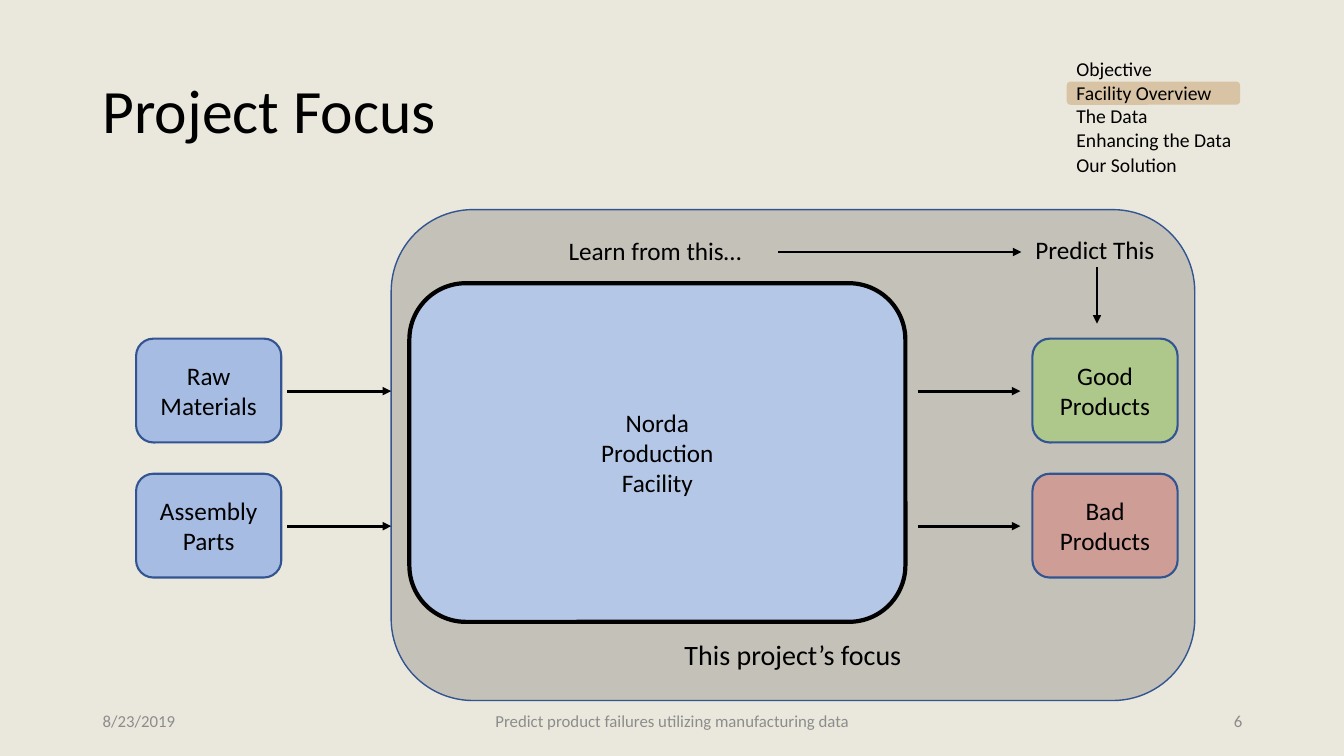
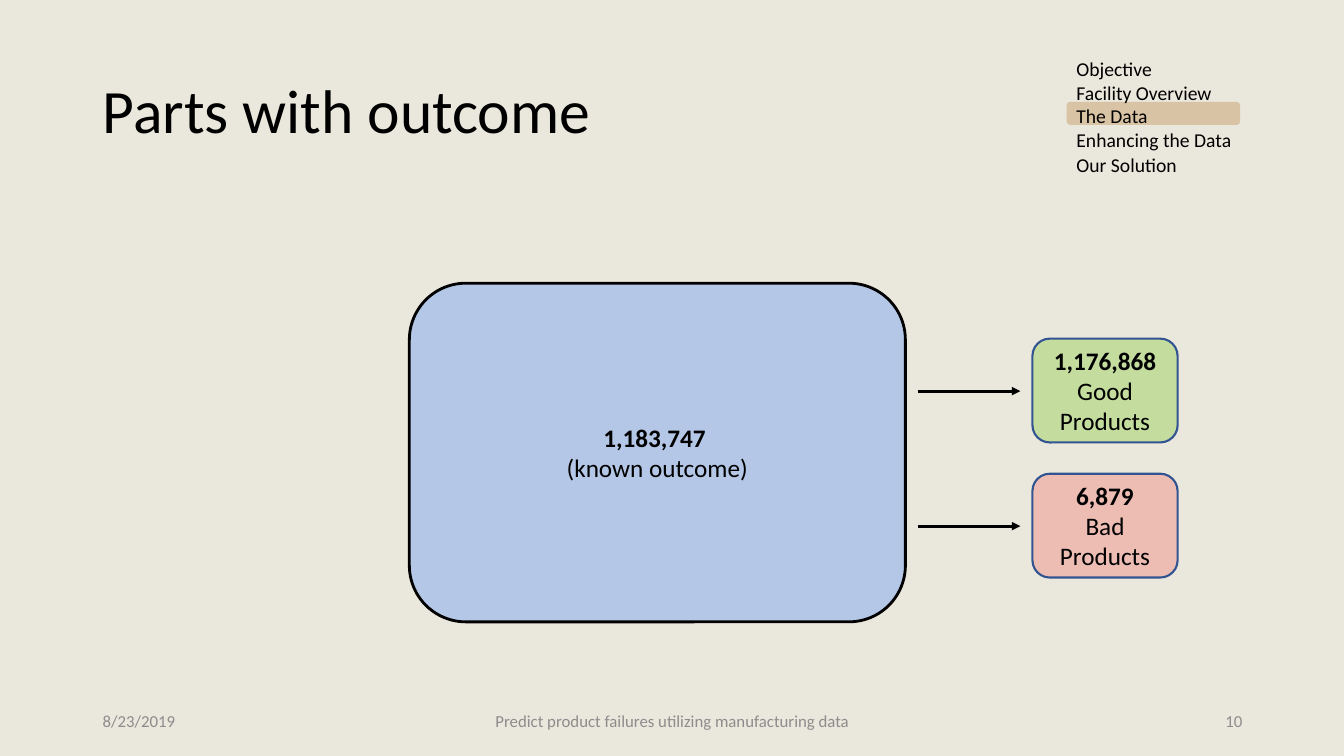
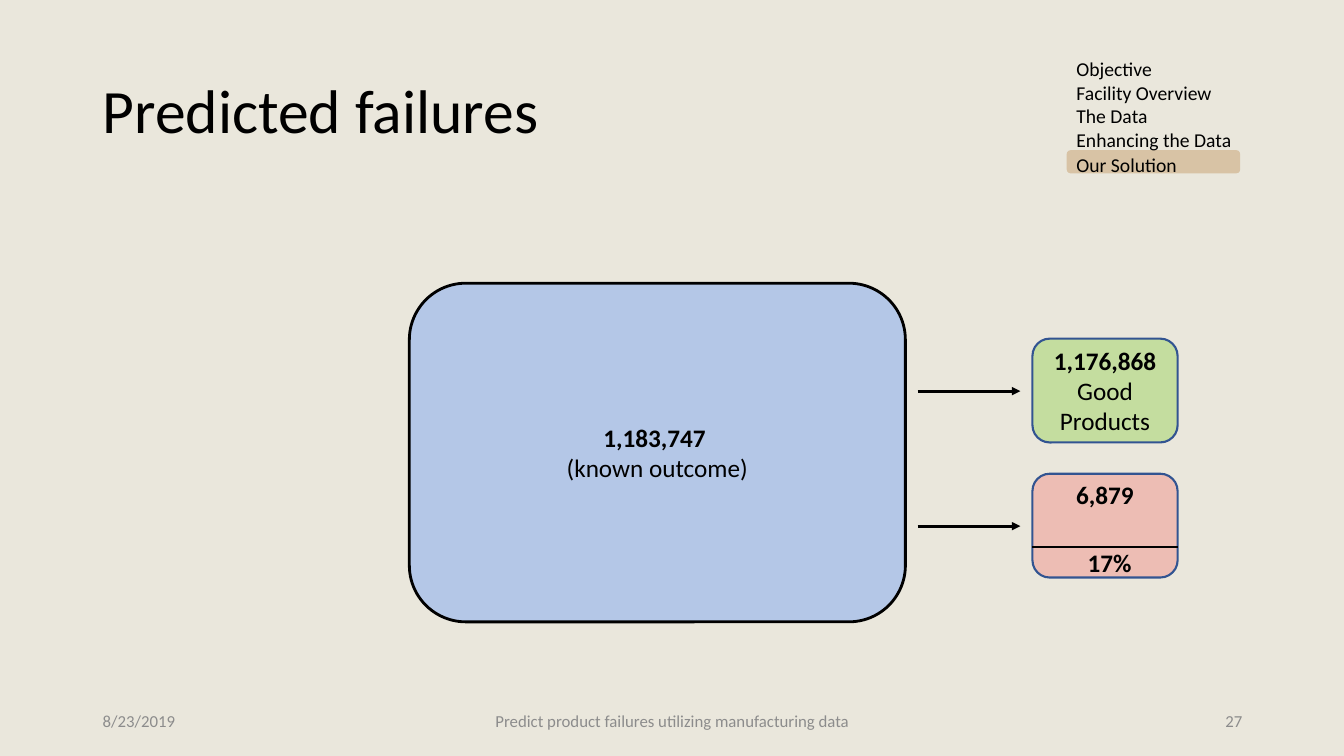
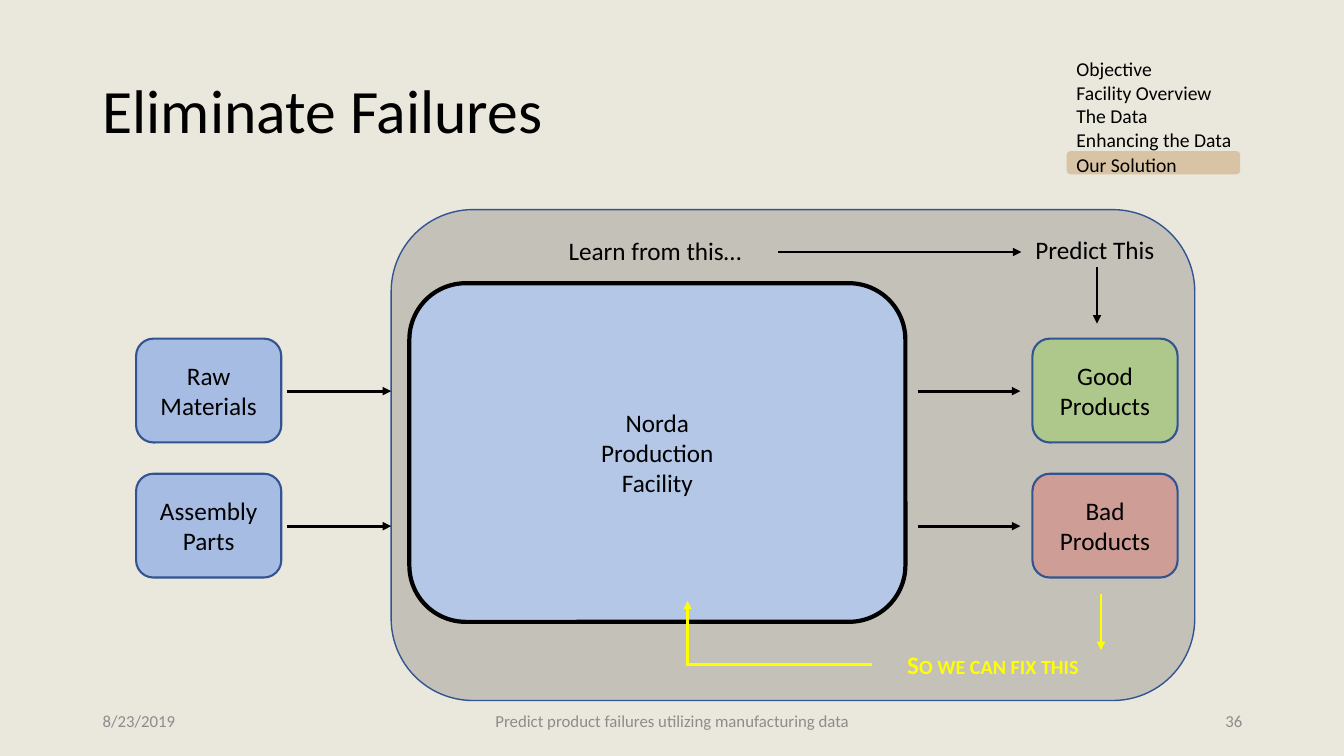
from dataclasses import dataclass
from typing import Optional

from lxml import etree
from pptx import Presentation
from pptx import util as u
from pptx.dml.color import RGBColor
from pptx.enum import shapes, text
from pptx.oxml.ns import qn

PX = 9144  # EMU per px, 100 px to the inch


@dataclass(frozen=True)
class Theme:
    font: str = "Calibri"
    paper: str = "EAE7DC"
    ink: str = "000000"
    muted: str = "8C8C8C"
    outline: str = "325491"
    facility: str = "B4C7E7"
    supply: str = "A7BCE3"
    good: str = "92D050"
    bad: str = "FF0000"
    marker: str = "D8C3A5"
    accent: str = "FFFF00"
    title_pt: int = 44
    focus_pt: int = 20
    body_pt: int = 18
    agenda_pt: int = 14
    footer_pt: int = 12


T = Theme()
ALIGN, ANCHOR = text.PP_ALIGN, text.MSO_ANCHOR


@dataclass(frozen=True)
class Area:
    left: int
    top: int
    width: int
    height: int


@dataclass(frozen=True)
class Style:
    size: int = T.body_pt
    color: str = T.ink
    align: ALIGN = ALIGN.CENTER
    anchor: ANCHOR = ANCHOR.MIDDLE
    bold_lines: int = 0
    small_caps: bool = False


@dataclass(frozen=True)
class Box:
    area: Area
    words: str = ""
    fill: Optional[str] = None
    opacity: int = 100
    line: Optional[str] = T.outline
    weight: float = 1.5
    style: Style = Style()


@dataclass(frozen=True)
class Label:
    area: Area
    words: str
    style: Style
    wrap: bool = True


@dataclass(frozen=True)
class Stroke:
    x1: int
    y1: int
    x2: int
    y2: int
    color: str = T.ink
    weight: float = 2
    arrow: bool = True


@dataclass(frozen=True)
class Page:
    title: str
    number: int
    marker_top: int


# Positions shared by the flow diagrams
ROW_TOPS = (336, 470)
SUPPLY_X, PRODUCT_X = 135, 1024
BOX_W, BOX_H = 144, 103
FOCUS = Area(388, 208, 797, 487)
FACILITY = Area(406, 281, 492, 336)
AGENDA = ("Objective", "Facility Overview", "The Data", "Enhancing the Data", "Our Solution")
INLINE = Style(align=ALIGN.LEFT, anchor=ANCHOR.TOP)
COUNTED = Style(bold_lines=1)


def emu(area: Area) -> tuple[int, ...]:
    return tuple(v * PX for v in (area.left, area.top, area.width, area.height))


def write(frame, words: str, style: Style) -> None:
    frame.text = words
    frame.vertical_anchor = style.anchor
    for index, paragraph in enumerate(frame.paragraphs):
        paragraph.alignment = style.align
        for run in paragraph.runs:
            run.font.name = T.font
            run.font.size = u.Pt(style.size)
            run.font.bold = index < style.bold_lines
            run.font.color.rgb = RGBColor.from_string(style.color)
            if style.small_caps:
                run.font._element.set("cap", "small")


def draw_box(slide, box: Box):
    shape = slide.shapes.add_shape(shapes.MSO_SHAPE.ROUNDED_RECTANGLE, *emu(box.area))
    shape.shadow.inherit = False
    if box.fill:
        shape.fill.solid()
        shape.fill.fore_color.rgb = RGBColor.from_string(box.fill)
        if box.opacity < 100:
            color = shape._element.spPr.find(qn("a:solidFill"))[0]
            etree.SubElement(color, qn("a:alpha")).set("val", str(box.opacity * 1000))
    else:
        shape.fill.background()
    if box.line:
        shape.line.color.rgb = RGBColor.from_string(box.line)
        shape.line.width = u.Pt(box.weight)
    else:
        shape.line.fill.background()
    if box.words:
        write(shape.text_frame, box.words, box.style)
    return shape


def draw_label(slide, label: Label):
    frame = slide.shapes.add_textbox(*emu(label.area)).text_frame
    frame.word_wrap = label.wrap
    if not label.wrap:
        frame.auto_size = text.MSO_AUTO_SIZE.SHAPE_TO_FIT_TEXT
    write(frame, label.words, label.style)
    return frame


def draw_stroke(slide, stroke: Stroke) -> None:
    ends = (v * PX for v in (stroke.x1, stroke.y1, stroke.x2, stroke.y2))
    connector = slide.shapes.add_connector(shapes.MSO_CONNECTOR.STRAIGHT, *ends)
    connector.line.color.rgb = RGBColor.from_string(stroke.color)
    connector.line.width = u.Pt(stroke.weight)
    properties = connector._element.spPr
    if stroke.arrow:
        etree.SubElement(properties.find(qn("a:ln")), qn("a:tailEnd")).set("type", "triangle")
    etree.SubElement(properties, qn("a:effectLst"))


def draw_frame(slide, page: Page) -> None:
    """Title, footer and agenda with its marker."""
    title = draw_label(slide, Label(Area(92, 40, 1150, 145), page.title,
                                    Style(T.title_pt, align=ALIGN.LEFT)))
    title.paragraphs[0].line_spacing = 0.9
    for left, width, words, align in (
        (92, 300, "8/23/2019", ALIGN.LEFT),
        (442, 450, "Predict product failures utilizing manufacturing data", ALIGN.CENTER),
        (942, 300, str(page.number), ALIGN.RIGHT),
    ):
        draw_label(slide, Label(Area(left, 695, width, 40), words,
                                Style(T.footer_pt, T.muted, align)))
    draw_box(slide, Box(Area(1058, page.marker_top, 172, 23), fill=T.marker, line=None))
    agenda = draw_box(slide, Box(Area(1051, 47, 191, 138), "\n".join(AGENDA), line=None,
                                 style=Style(T.agenda_pt, align=ALIGN.LEFT, anchor=ANCHOR.BOTTOM)))
    for entry in agenda.text_frame.paragraphs:
        entry.line_spacing = 0.4
        entry.space_before = u.Pt(10)
    entry.line_spacing = 0.5


def draw_row_arrows(slide, start: int, end: int) -> None:
    for top in ROW_TOPS:
        draw_stroke(slide, Stroke(start, top + 52, end, top + 52))


def draw_products(slide, good: str, bad: str, style: Style = Style()):
    """Outcome boxes with the arrows leading to them; returns the lower box."""
    for top, words, fill, opacity in zip(ROW_TOPS, (good, bad), (T.good, T.bad), (43, 18)):
        product = draw_box(slide, Box(Area(PRODUCT_X, top, BOX_W, BOX_H), words, fill, opacity,
                                      style=style))
    draw_row_arrows(slide, 910, 1012)
    return product


def draw_process(slide, page: Page, focus: str = "") -> None:
    """Materials flowing through the facility inside the focus panel."""
    draw_box(slide, Box(FOCUS, focus, T.ink, 16, weight=1,
                        style=Style(T.focus_pt, anchor=ANCHOR.BOTTOM)))
    draw_frame(slide, page)
    draw_box(slide, Box(FACILITY, "Norda\nProduction\nFacility", T.facility, line=T.ink, weight=3))
    for top, words in zip(ROW_TOPS, ("Raw\nMaterials", "Assembly\nParts")):
        draw_box(slide, Box(Area(SUPPLY_X, top, BOX_W, BOX_H), words, T.supply))
    draw_row_arrows(slide, 285, 388)
    draw_products(slide, "Good\nProducts", "Bad\nProducts")
    draw_label(slide, Label(Area(554, 229, 195, 40), "Learn from this…", INLINE, wrap=False))
    draw_stroke(slide, Stroke(772, 250, 1013, 250))
    draw_label(slide, Label(Area(1017, 228, 139, 40), "Predict This", INLINE, wrap=False))
    draw_stroke(slide, Stroke(1088, 265, 1088, 321))


def draw_outcome(slide, page: Page, bad: str):
    """Known parts split into good and bad; returns the bad box."""
    draw_frame(slide, page)
    draw_box(slide, Box(FACILITY, "1,183,747 \n(known outcome)", T.facility, line=T.ink,
                        weight=2, style=COUNTED))
    return draw_products(slide, "1,176,868\nGood\nProducts", bad, COUNTED)


def draw_failure_share(slide, bad_box) -> None:
    """Predicted share below a divider in the bad box."""
    bad_box.text_frame.vertical_anchor = ANCHOR.TOP
    bad_box.text_frame.margin_top = PX
    draw_stroke(slide, Stroke(PRODUCT_X, 543, PRODUCT_X + BOX_W, 543, weight=1.5, arrow=False))
    share = Style(align=ALIGN.LEFT, anchor=ANCHOR.TOP, bold_lines=1)
    draw_label(slide, Label(Area(1069, 538, 64, 40), "17%", share, wrap=False))


def draw_fix_loop(slide) -> None:
    """Feedback from bad products to the facility."""
    for stroke in (
        Stroke(1092, 589, 1092, 645, T.accent),
        Stroke(865, 659, 682, 659, T.accent, arrow=False),
        Stroke(682, 661, 682, 596, T.accent),
    ):
        draw_stroke(slide, stroke)
    call = Style(color=T.accent, align=ALIGN.LEFT, anchor=ANCHOR.TOP, bold_lines=1,
                 small_caps=True)
    draw_label(slide, Label(Area(890, 639, 197, 40), "So we can fix this", call, wrap=False))


def main() -> None:
    deck = Presentation()
    deck.slide_width, deck.slide_height = 1333 * PX, 750 * PX
    paper = deck.slide_master.background.fill
    paper.solid()
    paper.fore_color.rgb = RGBColor.from_string(T.paper)
    blank = deck.slide_layouts[6]

    # Project focus
    draw_process(deck.slides.add_slide(blank), Page("Project Focus", 6, 81),
                 "This project’s focus")

    # Parts with outcome
    draw_outcome(deck.slides.add_slide(blank), Page("Parts with outcome", 10, 101),
                 "6,879\nBad\nProducts")

    # Predicted failures
    predicted = deck.slides.add_slide(blank)
    bad_box = draw_outcome(predicted, Page("Predicted failures", 27, 149), "6,879")
    draw_failure_share(predicted, bad_box)

    # Eliminate failures
    eliminate = deck.slides.add_slide(blank)
    draw_process(eliminate, Page("Eliminate Failures", 36, 150))
    draw_fix_loop(eliminate)

    deck.save("out.pptx")


if __name__ == "__main__":
    main()
